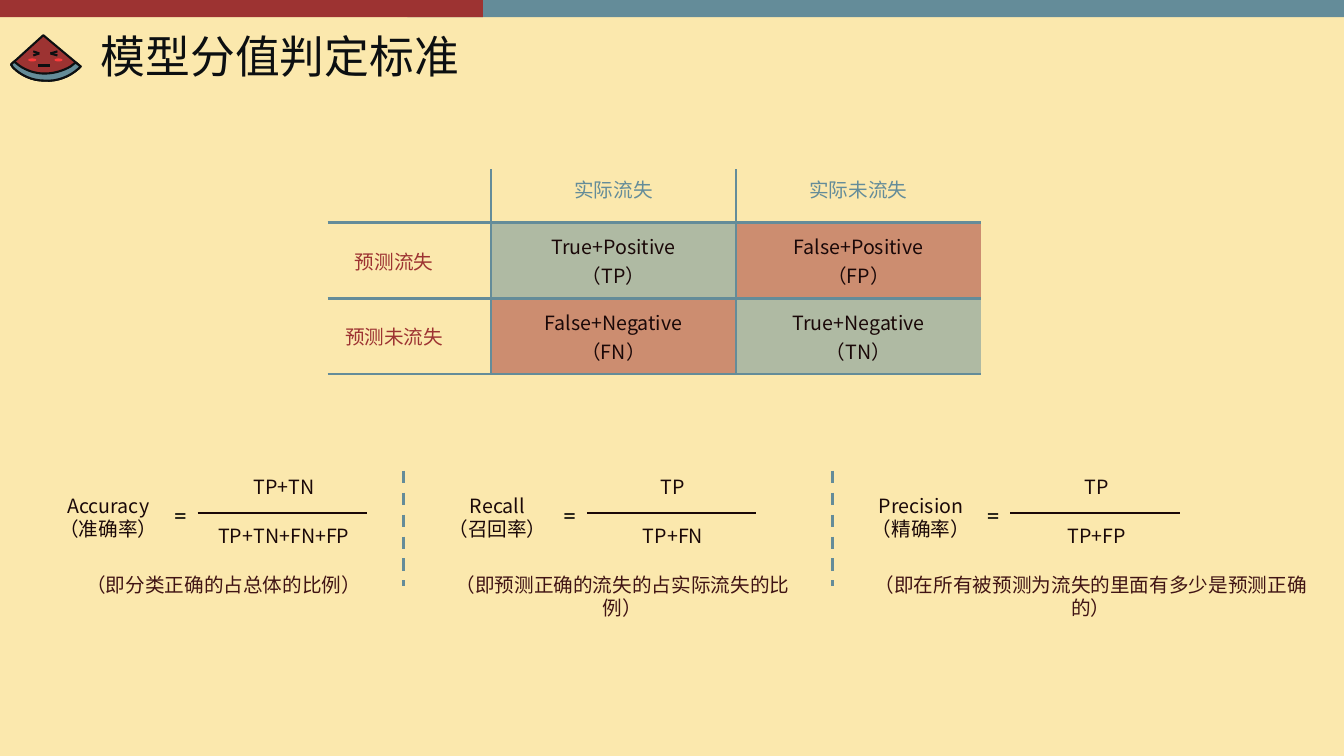
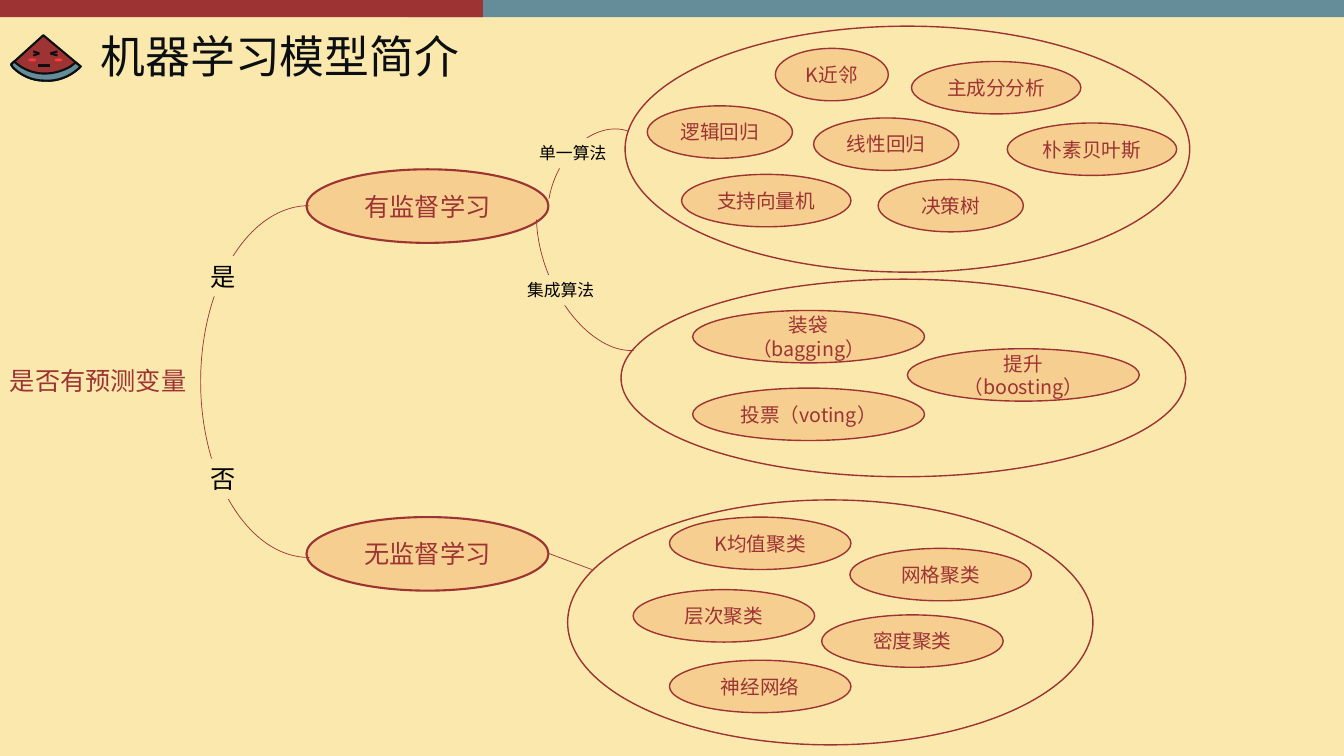
from lxml import etree
from pptx import Presentation
from pptx.dml.color import RGBColor
from pptx.enum.dml import MSO_LINE
from pptx.enum.shapes import MSO_CONNECTOR, MSO_SHAPE
from pptx.enum.text import MSO_ANCHOR, PP_ALIGN
from pptx.oxml.ns import qn
from pptx.util import Inches, Pt

RECT, OVAL, ARC = MSO_SHAPE.RECTANGLE, MSO_SHAPE.OVAL, MSO_SHAPE.ARC
STRAIGHT, DASH = MSO_CONNECTOR.STRAIGHT, MSO_LINE.DASH
LEFT, CENTER = PP_ALIGN.LEFT, PP_ALIGN.CENTER
TOP, MIDDLE = MSO_ANCHOR.TOP, MSO_ANCHOR.MIDDLE

COLORS = {
    "bg": "FBE8AD", "red": "9D3332", "blue": "648C99", "ink": "0C0F11",
    "dark": "1A0808", "note": "401414", "black": "000000", "cheek": "FF3B3B",
    "oval": "F6CE90", "right": "AFBAA3", "wrong": "CC8D70",
}
FONT = "Noto Sans CJK SC"
NO_GRID_STYLE = "{2D5ABB26-0587-4C30-8999-92F81FD0307C}"


def rgb(name):
    return RGBColor.from_string(COLORS[name])


def write(tf, text, size, color, align=CENTER, font=FONT, spacing=None):
    for i, line in enumerate(text.split("\n")):
        p = tf.paragraphs[0] if i == 0 else tf.add_paragraph()
        p.text = line
        p.alignment = align
        if spacing:
            p.line_spacing = spacing
        p.font.size = Pt(size)
        p.font.color.rgb = rgb(color)
        p.font.name = font
        props = p._p.get_or_add_pPr().get_or_add_defRPr()
        etree.SubElement(props, qn("a:ea"), typeface=font)


def style(sp, fill=None, line=None, width=1):
    sp.shadow.inherit = False
    if fill:
        sp.fill.solid()
        sp.fill.fore_color.rgb = rgb(fill)
    else:
        sp.fill.background()
    if line:
        sp.line.color.rgb = rgb(line)
        sp.line.width = Pt(width)
    else:
        sp.line.fill.background()
    return sp


def add_shape(s, kind, box, fill=None, line=None, width=1):
    sp = s.shapes.add_shape(kind, *map(Inches, box))
    return style(sp, fill, line, width)


def add_text(s, box, text, size=14, color="dark", align=CENTER, font=FONT,
             anchor=TOP, wrap=True, fill=None, spacing=None):
    sp = s.shapes.add_textbox(*map(Inches, box))
    if fill:
        sp.fill.solid()
        sp.fill.fore_color.rgb = rgb(fill)
    tf = sp.text_frame
    tf.word_wrap = wrap
    tf.vertical_anchor = anchor
    write(tf, text, size, color, align, font, spacing)


def add_line(s, x1, y1, x2, y2, color, width, dash=None):
    cx = s.shapes.add_connector(STRAIGHT, *map(Inches, (x1, y1, x2, y2)))
    cx.line.color.rgb = rgb(color)
    cx.line.width = Pt(width)
    if dash:
        cx.line.dash_style = dash
    etree.SubElement(cx._element.spPr, qn("a:effectLst"))


def add_oval(s, box, text, size=14, width=1):
    sp = add_shape(s, OVAL, box, "oval", "red", width)
    tf = sp.text_frame
    tf.word_wrap = True
    tf.vertical_anchor = MIDDLE
    write(tf, text, size, "red")


def add_arc(s, box, start, end, rotation=0, flip=None):
    sp = add_shape(s, ARC, box, line="red", width=0.5)
    sp.adjustments[0], sp.adjustments[1] = start, end
    sp.rotation = rotation
    if flip:
        sp._element.spPr.xfrm.set(flip, "1")


# Shared frame: background, top bands, melon slice, title
def bezier(p0, p1, p2, p3, steps=8):
    for i in range(1, steps + 1):
        t = i / steps
        weights = ((1 - t) ** 3, 3 * t * (1 - t) ** 2, 3 * t * t * (1 - t), t ** 3)
        yield tuple(sum(w * p[k] for w, p in zip(weights, (p0, p1, p2, p3)))
                    for k in (0, 1))


def add_outline(s, x, y, points, fill):
    points = [(Inches(x + px), Inches(y + py)) for px, py in points]
    fb = s.shapes.build_freeform(*points[0])
    fb.add_line_segments(points[1:], close=True)
    style(fb.convert_to_shape(), fill, "ink", 1.5)


def add_melon(s, x, y):
    bottom = [(0.7, 0.31), (0.68, 0.33),
              *bezier((0.68, 0.33), (0.59, 0.41), (0.47, 0.46), (0.34, 0.45)),
              *bezier((0.34, 0.45), (0.22, 0.45), (0.11, 0.4), (0.03, 0.32)),
              (0.01, 0.29)]
    rind = [(0.04, 0.26), (0.09, 0.3),
            *bezier((0.09, 0.3), (0.16, 0.35), (0.25, 0.38), (0.34, 0.38)),
            *bezier((0.34, 0.38), (0.44, 0.38), (0.53, 0.35), (0.6, 0.31)),
            (0.65, 0.27)]
    add_outline(s, x, y, [(0.33, 0), *bottom], "red")
    add_outline(s, x, y, rind + bottom, "blue")
    for cheek_x in (0.18, 0.44):
        add_shape(s, OVAL, (x + cheek_x, y + 0.23, 0.08, 0.03), "cheek")
    add_line(s, x + 0.28, y + 0.3, x + 0.4, y + 0.3, "ink", 1.5)
    for outer, inner in ((0.23, 0.29), (0.47, 0.4)):
        for dy in (0.16, 0.2):
            add_line(s, x + outer, y + dy, x + inner, y + 0.18, "ink", 1.5)


def add_frame(prs, title):
    s = prs.slides.add_slide(prs.slide_layouts[6])
    s.background.fill.solid()
    s.background.fill.fore_color.rgb = rgb("bg")
    add_shape(s, RECT, (4.04, 0, 9.3, 0.17), "blue")
    add_shape(s, RECT, (0, 0, 4.79, 0.17), "red")
    add_melon(s, 0.1, 0.35)
    add_text(s, (0.9, 0.17, 12.43, 0.83), title, 32, "ink", LEFT,
             anchor=MIDDLE, spacing=0.9)
    return s


# Confusion matrix
def add_border(cell, sides):
    props = cell._tc.get_or_add_tcPr()
    for side in sides:
        ln = etree.SubElement(props, qn("a:ln" + side), w=str(Pt(2.25)))
        fill = etree.SubElement(ln, qn("a:solidFill"))
        etree.SubElement(fill, qn("a:srgbClr"), val=COLORS["blue"])


def add_matrix(s, x, y):
    rows = [("", "实际流失", "实际未流失"),
            ("预测流失", "True+Positive（TP）", "False+Positive（FP）"),
            ("预测未流失", "False+Negative（FN）", "True+Negative\n（TN）")]
    widths, heights = (1.62, 2.43, 2.43), (0.53, 0.75, 0.75)
    frame = s.shapes.add_table(3, 3, Inches(x), Inches(y),
                               Inches(sum(widths)), Inches(sum(heights)))
    table = frame.table
    table.first_row = table.horz_banding = False
    table._tbl.tblPr.find(qn("a:tableStyleId")).text = NO_GRID_STYLE
    for i in range(3):
        table.columns[i].width = Inches(widths[i])
        table.rows[i].height = Inches(heights[i])
    for r, row in enumerate(rows):
        for c, text in enumerate(row):
            cell = table.cell(r, c)
            sides = ["L"] * (c > 0) + ["R"] * (c < 2) + ["T"] * (r > 0) + ["B"]
            add_border(cell, sides)
            if r and c:
                cell.fill.solid()
                cell.fill.fore_color.rgb = rgb("right" if r == c else "wrong")
                color = "dark"
                cell.margin_left = cell.margin_right = Inches(0.45)
            else:
                cell.fill.background()
                color = "red" if r else "blue"
                if c == 0:
                    cell.margin_left, cell.margin_right = Inches(0.1), Inches(0.4)
            cell.vertical_anchor = MIDDLE if r else TOP
            write(cell.text_frame, text, 14, color)


# Metric: name = numerator / denominator, with a note below
def add_metric(s, x, y, name, top, bottom, note, note_dx, note_width):
    add_text(s, (x, y + 0.19, 1.39, 0.57), name)
    add_text(s, (x + 1.25, y + 0.24, 0.33, 0.4), "=", 18, "black", LEFT,
             "Calibri", wrap=False)
    add_text(s, (x + 1.74, y, 1.39, 0.34), top)
    add_line(s, x + 1.58, y + 0.43, x + 3.26, y + 0.43, "dark", 1.5)
    add_text(s, (x + 1.39, y + 0.49, 2.09, 0.34), bottom)
    add_text(s, (x + note_dx, y + 0.97, note_width, 0.34), note, color="note")


def build_scoring(prs):
    s = add_frame(prs, "模型分值判定标准")
    add_matrix(s, 3.25, 1.68)
    metrics = [
        (0.38, "Accuracy（准确率）", "TP+TN", "TP+TN+FN+FP",
         "（即分类正确的占总体的比例）", 0.1, 3.48),
        (4.24, "Recall\n（召回率）", "TP", "TP+FN",
         "（即预测正确的流失的占实际流失的比例）", 0, 3.87),
        (8.44, "Precision（精确率）", "TP", "TP+FP",
         "（即在所有被预测为流失的里面有多少是预测正确的）", 0, 4.76),
    ]
    for x, *parts in metrics:
        add_metric(s, x, 4.66, *parts)
    for x in (4, 8.26):
        add_line(s, x, 4.67, x, 5.81, "blue", 2.25, DASH)


# Cluster: an outer ellipse with algorithms placed from its corner
def add_cluster(s, box, members):
    add_shape(s, OVAL, box, line="red")
    for dx, dy, width, text in members:
        add_oval(s, (box[0] + dx, box[1] + dy, width, 0.52), text)


def build_models(prs):
    s = add_frame(prs, "机器学习模型简介")
    # Algorithm clusters
    add_cluster(s, (6.2, 0.26, 5.6, 2.44), [
        (1.49, 0.22, 1.12, "K近邻"), (2.84, 0.35, 1.68, "主成分分析"),
        (0.22, 0.79, 1.44, "逻辑回归"), (1.87, 0.91, 1.44, "线性回归"),
        (3.79, 0.96, 1.68, "朴素贝叶斯"), (0.56, 1.47, 1.68, "支持向量机"),
        (2.51, 1.52, 1.44, "决策树")])
    add_cluster(s, (6.16, 2.77, 5.6, 1.96), [
        (0.71, 0.31, 2.3, "装袋（bagging）"), (2.84, 0.69, 2.3, "提升（boosting）"),
        (0.71, 1.08, 2.3, "投票（voting）")])
    add_cluster(s, (5.63, 4.96, 5.21, 2.43), [
        (1.01, 0.17, 1.8, "K均值聚类"), (2.8, 0.48, 1.8, "网格聚类"),
        (0.65, 0.89, 1.8, "层次聚类"), (2.52, 1.14, 1.8, "密度聚类"),
        (1.01, 1.59, 1.8, "神经网络")])
    # Root question and the two kinds of learning
    add_text(s, (0, 3.58, 2.09, 0.4), "是否有预测变量", 18, "red", LEFT)
    for y, text in ((1.68, "有监督学习"), (5.13, "无监督学习")):
        add_oval(s, (3.04, y, 2.4, 0.73), text, 18, 1.5)
    # Branches
    add_arc(s, (1.99, 2.04, 2.15, 3.49), 162, 54.07, flip="flipH")
    add_arc(s, (5.27, 1.45, 1.42, 1.03), 148.43, 215.5, 292)
    add_arc(s, (4.98, 1.87, 2.07, 1.24), 134.26, 211.97, 68, "flipV")
    add_line(s, 5.44, 5.49, 5.87, 5.65, "red", 0.5)
    # Branch labels
    for box, text, size in (((1.99, 2.54, 0.53, 0.4), "是", 18),
                            ((1.99, 4.55, 0.53, 0.4), "否", 18),
                            ((5.25, 1.37, 0.93, 0.3), "单一算法", 12),
                            ((5.13, 2.73, 1.04, 0.3), "集成算法", 12)):
        add_text(s, box, text, size, "black", LEFT, fill="bg")


def main():
    prs = Presentation()
    prs.slide_width, prs.slide_height = Inches(13.33), Inches(7.5)
    build_scoring(prs)
    build_models(prs)
    prs.save("out.pptx")


if __name__ == "__main__":
    main()
